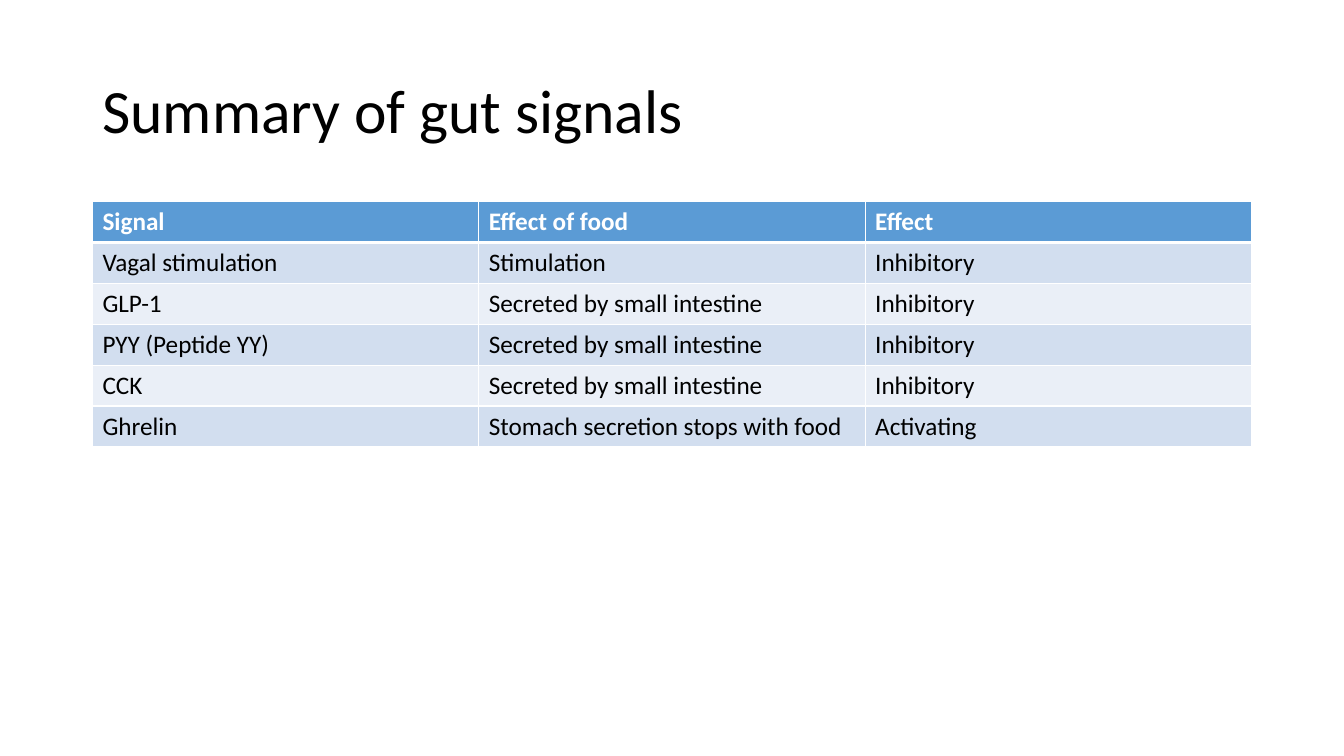
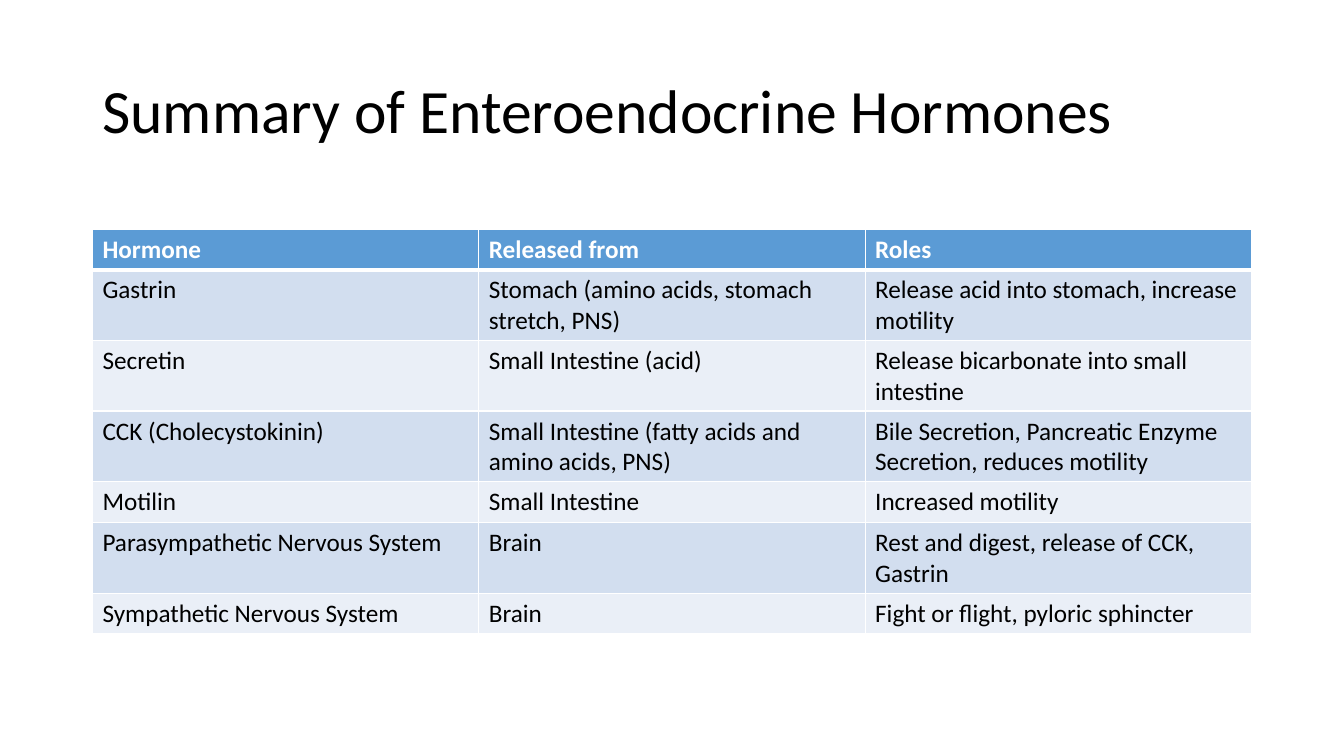
from dataclasses import dataclass

from lxml import etree
from pptx import Presentation
from pptx.dml.color import RGBColor
from pptx.enum.text import MSO_ANCHOR
from pptx.oxml.ns import qn
from pptx.util import Cm, Pt

MIDDLE = MSO_ANCHOR.MIDDLE


@dataclass(frozen=True)
class Theme:
    font: str = "Calibri"
    title_size: int = 44
    table_size: int = 18
    text: str = "000000"
    white: str = "FFFFFF"
    header: str = "5B9BD5"
    bands: tuple = ("D2DEEF", "EAEFF7")
    thin: int = 1
    thick: int = 3
    left: float = 2.33
    width: float = 29.21
    row_height: float = 1.03


class Deck:
    def __init__(self, theme):
        self.theme = theme
        self.prs = Presentation()
        self.prs.slide_width, self.prs.slide_height = Cm(33.87), Cm(19.05)
        self.s = None

    def slide(self, title):
        self.s = self.prs.slides.add_slide(self.prs.slide_layouts[6])
        self.title(title)

    def style(self, p, size, color, bold=False):
        for r in p.runs:
            r.font.name = self.theme.font
            r.font.size = Pt(size)
            r.font.bold = bold
            r.font.color.rgb = RGBColor.from_string(color)

    def title(self, text):
        t = self.theme
        tf = self.s.shapes.add_textbox(
            Cm(t.left), Cm(1.02), Cm(t.width), Cm(3.68)).text_frame
        tf.word_wrap = True
        tf.vertical_anchor = MIDDLE
        tf.text = text
        p = tf.paragraphs[0]
        p.line_spacing = 0.9
        self.style(p, t.title_size, t.text)

    def borders(self, cell, top, bottom):
        tc_pr = cell._tc.get_or_add_tcPr()
        thin = self.theme.thin
        for side, width in zip("LRTB", (thin, thin, top, bottom)):
            ln = etree.SubElement(tc_pr, qn(f"a:ln{side}"), w=str(Pt(width)))
            fill = etree.SubElement(ln, qn("a:solidFill"))
            etree.SubElement(fill, qn("a:srgbClr"), val=self.theme.white)

    def table(self, top, rows):
        t = self.theme
        table = self.s.shapes.add_table(
            len(rows), len(rows[0]), Cm(t.left), Cm(top),
            Cm(t.width), Cm(t.row_height * len(rows))).table
        for i, row in enumerate(rows):
            is_header = i == 0
            fill = t.header if is_header else t.bands[(i - 1) % 2]
            color = t.white if is_header else t.text
            for j, text in enumerate(row):
                cell = table.cell(i, j)
                # The header and first body row share the thick rule
                self.borders(cell, t.thick if i == 1 else t.thin,
                             t.thick if is_header else t.thin)
                cell.fill.solid()
                cell.fill.fore_color.rgb = RGBColor.from_string(fill)
                cell.text_frame.text = text
                self.style(cell.text_frame.paragraphs[0], t.table_size,
                           color, is_header)


def main():
    deck = Deck(Theme())

    # Gut signals
    deck.slide("Summary of gut signals")
    deck.table(5.08, [
        ("Signal", "Effect of food", "Effect"),
        ("Vagal stimulation", "Stimulation", "Inhibitory"),
        ("GLP-1", "Secreted by small intestine", "Inhibitory"),
        ("PYY (Peptide YY)", "Secreted by small intestine", "Inhibitory"),
        ("CCK", "Secreted by small intestine", "Inhibitory"),
        ("Ghrelin", "Stomach secretion stops with food", "Activating"),
    ])

    # Enteroendocrine hormones
    deck.slide("Summary of Enteroendocrine Hormones")
    deck.table(5.77, [
        ("Hormone", "Released from", "Roles"),
        ("Gastrin", "Stomach (amino acids, stomach stretch, PNS)",
         "Release acid into stomach, increase motility"),
        ("Secretin", "Small Intestine (acid)",
         "Release bicarbonate into small intestine"),
        ("CCK (Cholecystokinin)",
         "Small Intestine (fatty acids and amino acids, PNS)",
         "Bile Secretion, Pancreatic Enzyme Secretion, reduces motility"),
        ("Motilin", "Small Intestine", "Increased motility"),
        ("Parasympathetic Nervous System", "Brain",
         "Rest and digest, release of CCK, Gastrin"),
        ("Sympathetic Nervous System", "Brain",
         "Fight or flight, pyloric sphincter"),
    ])

    deck.prs.save("out.pptx")


if __name__ == "__main__":
    main()
